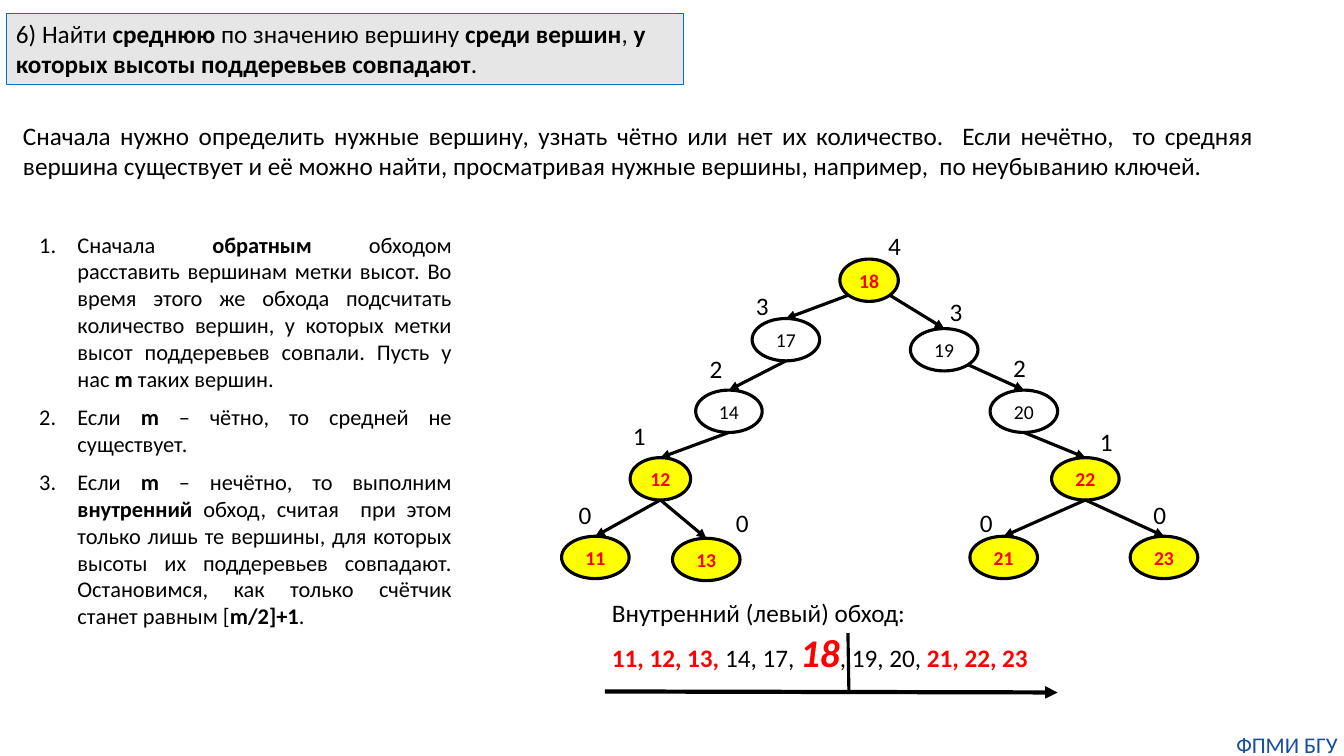
from math import sqrt
from lxml.etree import SubElement
from pptx import Presentation
from pptx.dml.color import RGBColor as Rgb
from pptx.enum.shapes import MSO_CONNECTOR as Link, MSO_SHAPE as Kind
from pptx.enum.text import MSO_ANCHOR as Anchor, MSO_AUTO_SIZE as Auto, PP_ALIGN as Align
from pptx.oxml.ns import qn
from pptx.util import Inches, Pt

HEX = {"black": "000000", "red": "FF0000", "yellow": "FFFF00",
       "gray": "E7E6E6", "blue": "0070C0", "navy": "144E9D"}

TASK = "6) Найти *среднюю *по значению вершину *среди вершин*, *у которых высоты поддеревьев совпадают*."
INTRO = ("Сначала нужно определить нужные вершину, узнать чётно или нет их количество.  "
         "Если нечётно,  то средняя вершина существует и её можно найти, "
         "просматривая нужные вершины, например,  по неубыванию ключей.")
STEPS = [
    "Сначала *обратным* обходом расставить вершинам метки высот. Во время этого же обхода "
    "подсчитать количество вершин, у которых метки высот поддеревьев совпали. "
    "Пусть у нас *m *таких вершин. ",
    "Если *m* – чётно, то средней не существует.",
    "Если *m* – нечётно, то выполним *внутренний* обход, считая  при этом только лишь те вершины, "
    "для которых высоты их поддеревьев совпадают. Остановимся, как только счётчик "
    "станет равным [*m/2]+1*. ",
]
RED = {"color": "red", "bold": True}
ORDER = [("11, 12, 13, ", RED), ("14, 17, ", {}),
         ("18", {**RED, "size": 28, "italic": True}),
         (", 19, 20, ", {}), ("21, 22, 23", RED)]

# key: left, top, width, height mark, mark left, mark top
NODES = {
    18: (8.33, 2.57, 0.58, 4, 8.71, 2.24),
    17: (7.46, 3.16, 0.67, 3, 7.4, 2.83),
    19: (9.03, 3.26, 0.67, 3, 9.32, 2.89),
    14: (6.9, 3.87, 0.66, 2, 6.94, 3.46),
    20: (9.82, 3.87, 0.67, 2, 9.95, 3.45),
    12: (6.25, 4.54, 0.6, 1, 6.18, 4.12),
    22: (10.43, 4.54, 0.67, 1, 10.81, 4.18),
    11: (5.57, 5.32, 0.67, 0, 5.64, 4.9),
    13: (6.67, 5.34, 0.67, 0, 7.2, 4.98),
    21: (9.62, 5.32, 0.67, 0, 9.62, 4.98),
    23: (11.21, 5.32, 0.67, 0, 11.34, 4.9),
}
TALL = 0.42
PLAIN = {14, 17, 19, 20}
# parent, child, side of the parent: -1 lower left, 0 bottom, 1 lower right
EDGES = [(18, 17, -1), (18, 19, 1), (17, 14, 0), (19, 20, 1), (14, 12, 0),
         (20, 22, 0), (12, 11, 0), (12, 13, 0), (22, 21, 0), (22, 23, 0)]

deck = Presentation()
deck.slide_width, deck.slide_height = Inches(13.33), Inches(7.5)
slide = deck.slides.add_slide(deck.slide_layouts[6])
shapes = slide.shapes


def rgb(name):
    return Rgb.from_string(HEX[name])


def put(item, form):
    for name, value in form.items():
        setattr(item, name, value)


def marked(text):
    return [(part, {"bold": True} if i % 2 else {})
            for i, part in enumerate(text.split("*")) if part]


def write(shape, paras, size, color="black", form={}, frame={}):
    body = shape.text_frame
    put(body, {"word_wrap": True, **frame})
    for i, runs in enumerate(paras):
        para = body.add_paragraph() if i else body.paragraphs[0]
        put(para, {"alignment": Align.LEFT, **form})
        for text, style in runs:
            style = {"size": size, "color": color, **style}
            run = para.add_run()
            run.text = text
            run.font.color.rgb = rgb(style.pop("color"))
            put(run.font, {"name": "Calibri", **style, "size": Pt(style["size"])})


def box(at, *text, **more):
    shape = shapes.add_textbox(*map(Inches, at))
    write(shape, *text, **more)
    return shape


def block(kind, at, fill, line, width):
    shape = shapes.add_shape(kind, *map(Inches, at))
    shape.shadow.inherit = False
    if fill:
        shape.fill.solid()
        shape.fill.fore_color.rgb = rgb(fill)
    else:
        shape.fill.background()
    shape.line.color.rgb = rgb(line)
    shape.line.width = Pt(width)
    return shape


def link(start, end, width=2.25, arrow=True):
    line = shapes.add_connector(Link.STRAIGHT, *map(Inches, start + end))
    line.line.color.rgb = rgb("black")
    line.line.width = Pt(width)
    if arrow:
        SubElement(line.line._get_or_add_ln(), qn("a:tailEnd"), type="triangle")
    SubElement(line._element.spPr, qn("a:effectLst"))
    return line


FLAT = dict.fromkeys(["margin_left", "margin_right", "margin_top", "margin_bottom"], 0)
GROW = {"auto_size": Auto.SHAPE_TO_FIT_TEXT}

task = block(Kind.RECTANGLE, (0.06, 0.13, 6.72, 0.71), "gray", "blue", 0.75)
write(task, [marked(TASK)], 18, form={"space_after": Pt(10)},
      frame={"vertical_anchor": Anchor.TOP, **GROW})
box((0.13, 1.14, 12.4, 0.71), [[(INTRO, {})]], 18,
    form={"alignment": Align.JUSTIFY}, frame=GROW)

steps = box((0.29, 2.24, 4.29, 4.1), [marked(step) for step in STEPS], 16,
            form={"alignment": Align.JUSTIFY, "space_before": Pt(8)}, frame=GROW)
for para in steps.text_frame.paragraphs:
    props = para._p.get_or_add_pPr()
    props.set("marL", str(Inches(0.38)))
    props.set("indent", str(-Inches(0.38)))
    SubElement(props, qn("a:buAutoNum"), type="arabicPeriod")

ovals = {}
for key, (left, top, wide, mark, x, y) in NODES.items():
    plain = key in PLAIN
    oval = block(Kind.OVAL, (left, top, wide, TALL), None if plain else "yellow", "black", 2.25)
    write(oval, [[(str(key), {} if plain else RED)]], 14, form={"alignment": Align.CENTER},
          frame={"vertical_anchor": Anchor.MIDDLE, **FLAT})
    ovals[key] = oval
    box((x, y, 0.33, 0.4), [[(str(mark), {})]], 18, frame={"word_wrap": False, **GROW})

for parent, child, side in EDGES:
    left, top, wide = NODES[parent][:3]
    drop = sqrt(0.5) if side else 1
    start = (left + wide / 2 * (1 + side * sqrt(0.5)), top + TALL / 2 * (1 + drop))
    edge = link(start, NODES[child][:2])
    edge.end_connect(ovals[child], 0)

box((5.97, 5.88, 4.35, 0.88), [[("Внутренний (левый) обход:", {})], ORDER], 18, frame=GROW)
link((6, 6.86), (10.49, 6.87), 3)
link((8.41, 6.28), (8.42, 6.87), arrow=False)
box((12.2, 7.25, 1.13, 0.27), [[("ФПМИ БГУ", {})]], 16, "navy",
    form={"alignment": Align.CENTER}, frame={**FLAT, **GROW})

deck.save("out.pptx")
